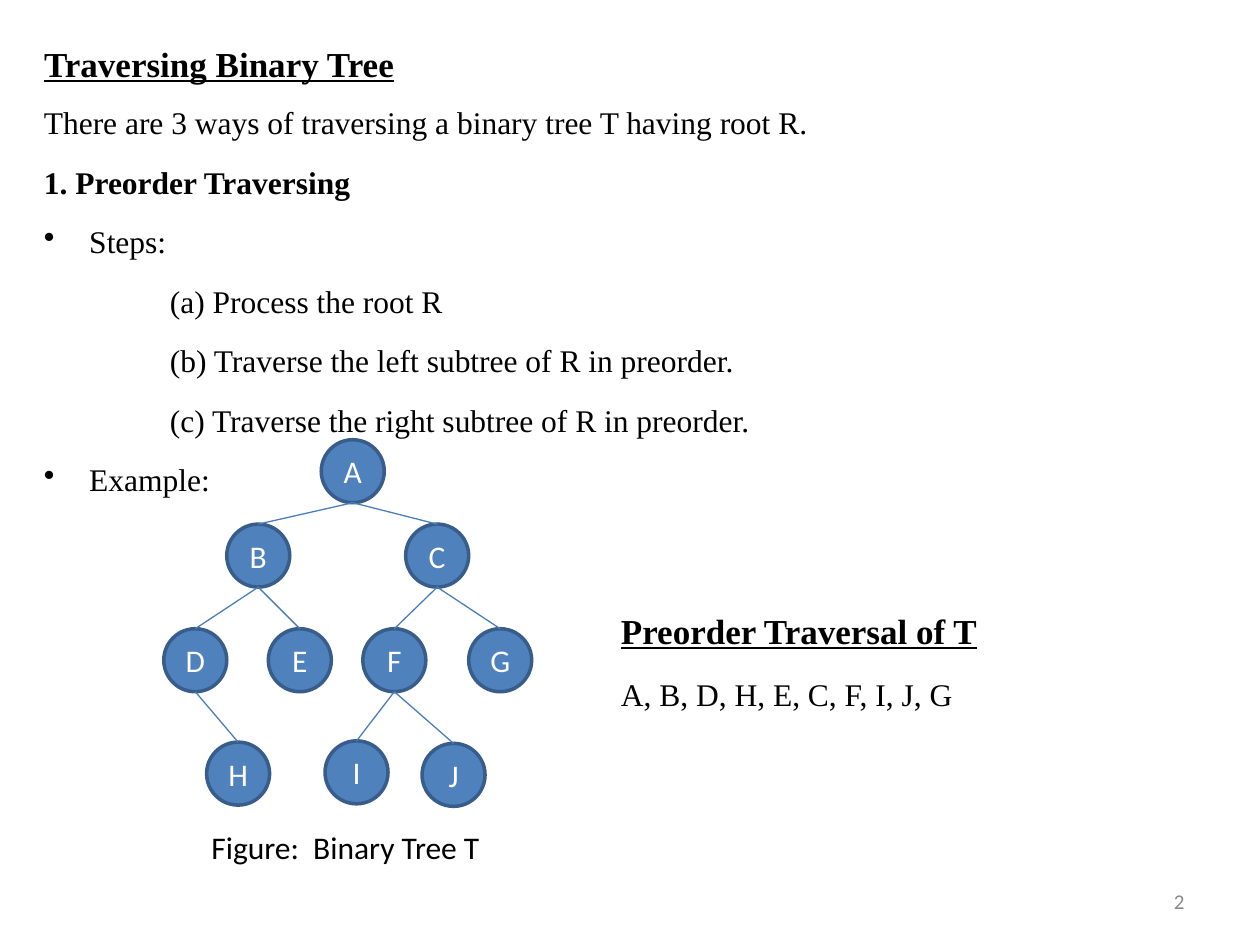
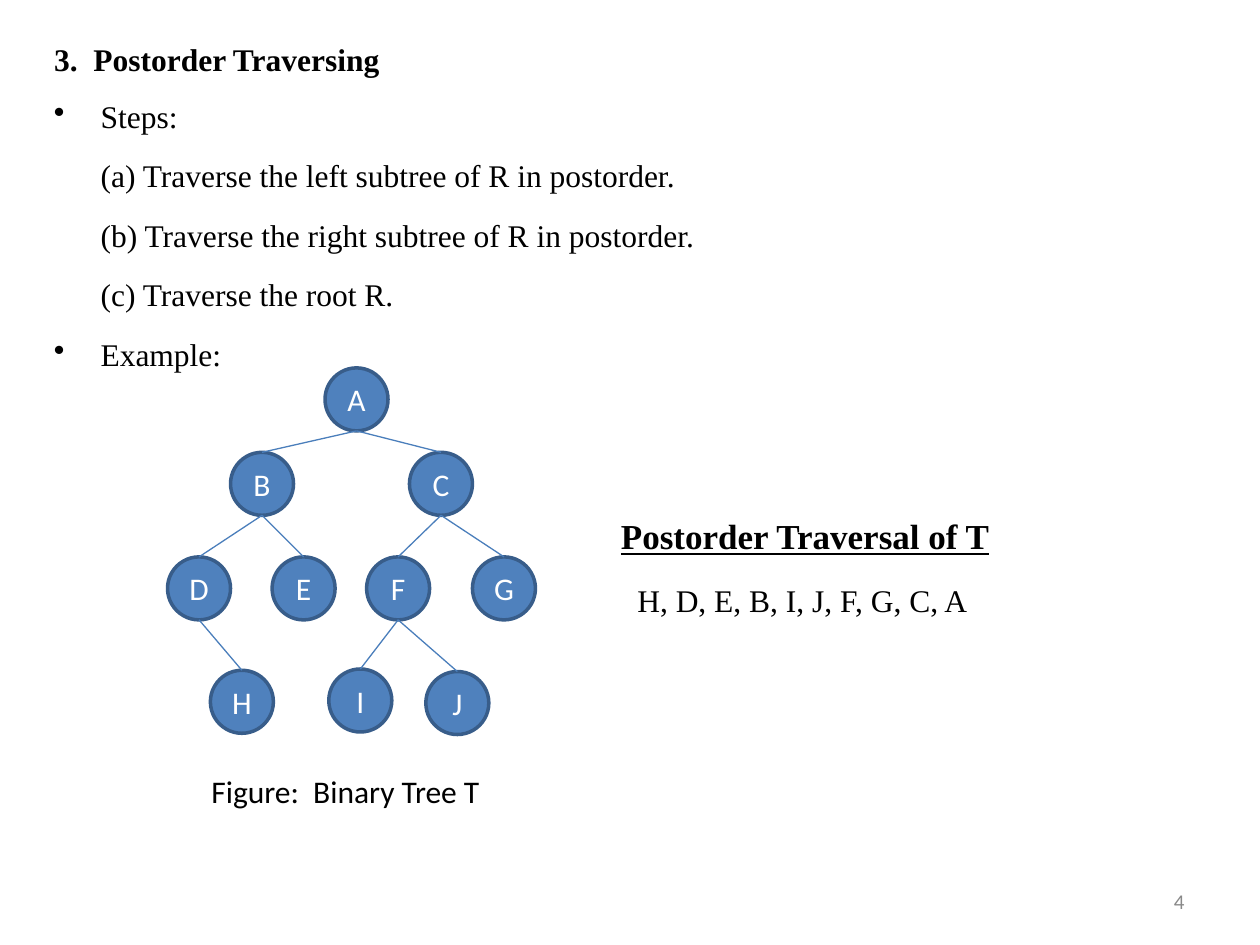
from dataclasses import dataclass

from lxml import etree
from pptx import Presentation
from pptx.dml.color import RGBColor
from pptx.enum.shapes import MSO_CONNECTOR, MSO_SHAPE
from pptx.enum.text import MSO_ANCHOR, MSO_AUTO_SIZE, PP_ALIGN
from pptx.oxml.ns import qn
from pptx.util import Inches, Pt

LEFT, CENTER, RIGHT = PP_ALIGN.LEFT, PP_ALIGN.CENTER, PP_ALIGN.RIGHT
TOP, MIDDLE = MSO_ANCHOR.TOP, MSO_ANCHOR.MIDDLE
NO_AUTOFIT = MSO_AUTO_SIZE.NONE
OVAL = MSO_SHAPE.OVAL
STRAIGHT = MSO_CONNECTOR.STRAIGHT
TITLE_ONLY = 5


@dataclass(frozen=True)
class Theme:
    ink: RGBColor = RGBColor(0x00, 0x00, 0x00)
    white: RGBColor = RGBColor(0xFF, 0xFF, 0xFF)
    muted: RGBColor = RGBColor(0x89, 0x89, 0x89)
    node_fill: RGBColor = RGBColor(0x4F, 0x81, 0xBD)
    node_line: RGBColor = RGBColor(0x38, 0x5D, 0x8A)
    edge: RGBColor = RGBColor(0x4A, 0x7E, 0xBB)
    serif: str = "Times New Roman"
    sans: str = "Calibri"
    heading: int = 20
    body: int = 18
    footer: int = 12


THEME = Theme()

NODE_SIZE = 0.5
NODES = {
    "A": (1.25, 0), "B": (0.5, 0.67), "C": (1.92, 0.67),
    "D": (0, 1.5), "E": (0.83, 1.5), "F": (1.58, 1.5), "G": (2.42, 1.5),
    "H": (0.34, 2.4), "I": (1.28, 2.39), "J": (2.05, 2.41),
}
EDGES = ["AB", "AC", "BE", "BD", "CG", "CF", "DH", "FI", "FJ"]

PAGES = [
    {
        "number": "2",
        "left": 0.25,
        "title": "Traversing Binary Tree",
        "title_size": THEME.heading,
        "underline": True,
        "body_top": 0.62,
        "hang": 0.36,
        "step_indent": 1,
        "intro": [
            ("There are 3 ways of traversing a binary tree T having root R.", False),
            ("1. Preorder Traversing", True),
        ],
        "steps": [
            "(a) Process the root R",
            "(b) Traverse the left subtree of R in preorder.",
            "(c) Traverse the right subtree of R in preorder.",
        ],
        "tree": (1.3, 3.49),
        "result_top": 4.62,
        "result_title": "Preorder Traversal of T",
        "result": "A, B, D, H, E, C, F, I, J, G",
        "result_indent": 0,
        "caption_top": 6.52,
    },
    {
        "number": "4",
        "left": 0.33,
        "title": "3.  Postorder Traversing",
        "title_size": THEME.body,
        "underline": False,
        "body_top": 0.57,
        "hang": 0.37,
        "step_indent": 0.37,
        "intro": [],
        "steps": [
            "(a) Traverse the left subtree of R in postorder.",
            "(b) Traverse the right subtree of R in postorder.",
            "(c) Traverse the root R.",
        ],
        "tree": (1.33, 2.92),
        "result_top": 3.87,
        "result_title": "Postorder Traversal of T",
        "result": "H, D, E, B, I, J, F, G, C, A",
        "result_indent": 0.13,
        "caption_top": 6.08,
    },
]


def prepare_frame(shape, anchor=TOP):
    frame = shape.text_frame
    frame.word_wrap = True
    frame.auto_size = NO_AUTOFIT
    frame.vertical_anchor = anchor
    frame.margin_left = frame.margin_right = Inches(0.1)
    frame.margin_top = frame.margin_bottom = Inches(0.05)
    return frame


def write_line(frame, text, size=THEME.body, font=THEME.serif, color=THEME.ink,
               bold=False, underline=False, align=LEFT, spacing=1.5, after=1.6,
               indent=0, bullet=False):
    paragraph = frame.paragraphs[0]
    if paragraph.runs:
        paragraph = frame.add_paragraph()
    properties = paragraph._p.get_or_add_pPr()
    if indent:
        properties.set("marL", str(Inches(indent)))
    if bullet:
        properties.set("indent", str(-Inches(indent)))
        etree.SubElement(properties, qn("a:buChar")).set("char", "•")
    paragraph.alignment = align
    paragraph.line_spacing = spacing
    paragraph.space_before = Pt(0)
    paragraph.space_after = Pt(after)
    run = paragraph.add_run()
    run.text = text
    run.font.name = font
    run.font.size = Pt(size)
    run.font.bold = bold
    run.font.underline = underline
    run.font.color.rgb = color


prs = Presentation()
prs.slide_width = Inches(10)
prs.slide_height = Inches(7.5)

for page in PAGES:
    slide = prs.slides.add_slide(prs.slide_layouts[TITLE_ONLY])

    title = slide.shapes.title
    title.left, title.top = Inches(page["left"]), Inches(0.12)
    title.width, title.height = Inches(9.25), Inches(0.5)
    write_line(prepare_frame(title), page["title"], size=page["title_size"],
               bold=True, underline=page["underline"])

    page_number = slide.shapes.add_textbox(
        Inches(7.17), Inches(6.95), Inches(2.33), Inches(0.4))
    write_line(prepare_frame(page_number, MIDDLE), page["number"],
               size=THEME.footer, font=THEME.sans, color=THEME.muted,
               align=RIGHT, spacing=1, after=0)

    line_count = len(page["intro"]) + len(page["steps"]) + 2
    explanation = slide.shapes.add_textbox(
        Inches(page["left"]), Inches(page["body_top"]),
        Inches(9.25), Inches(0.1 + 0.45 * line_count))
    explanation_text = prepare_frame(explanation)
    for text, bold in page["intro"]:
        write_line(explanation_text, text, bold=bold)
    write_line(explanation_text, "Steps:", indent=page["hang"], bullet=True)
    for step in page["steps"]:
        write_line(explanation_text, step, indent=page["step_indent"])
    write_line(explanation_text, "Example:", indent=page["hang"], bullet=True)

    tree = slide.shapes.add_group_shape()
    tree_left, tree_top = page["tree"]
    for letter, (x, y) in NODES.items():
        node = tree.shapes.add_shape(
            OVAL, Inches(tree_left + x), Inches(tree_top + y),
            Inches(NODE_SIZE), Inches(NODE_SIZE))
        node.shadow.inherit = False
        node.fill.solid()
        node.fill.fore_color.rgb = THEME.node_fill
        node.line.color.rgb = THEME.node_line
        node.line.width = Pt(2)
        write_line(prepare_frame(node, MIDDLE), letter, font=THEME.sans,
                   color=THEME.white, align=CENTER, spacing=1, after=0)

    for parent, child in EDGES:
        parent_x, parent_y = NODES[parent]
        child_x, child_y = NODES[child]
        edge = tree.shapes.add_connector(
            STRAIGHT,
            Inches(tree_left + parent_x + NODE_SIZE / 2),
            Inches(tree_top + parent_y + NODE_SIZE),
            Inches(tree_left + child_x + NODE_SIZE / 2),
            Inches(tree_top + child_y))
        edge.line.color.rgb = THEME.edge
        edge.line.width = Pt(0.75)
        etree.SubElement(edge._element.spPr, qn("a:effectLst"))

    result = slide.shapes.add_textbox(
        Inches(4.83), Inches(page["result_top"]), Inches(4), Inches(1.06))
    result_text = prepare_frame(result)
    write_line(result_text, page["result_title"], size=THEME.heading,
               bold=True, underline=True, after=3)
    write_line(result_text, page["result"], indent=page["result_indent"])

    caption = slide.shapes.add_textbox(
        Inches(1.58), Inches(page["caption_top"]), Inches(4.5), Inches(0.4))
    write_line(prepare_frame(caption), "Figure:  Binary Tree T",
               font=THEME.sans, spacing=1, after=0)

prs.save("out.pptx")
